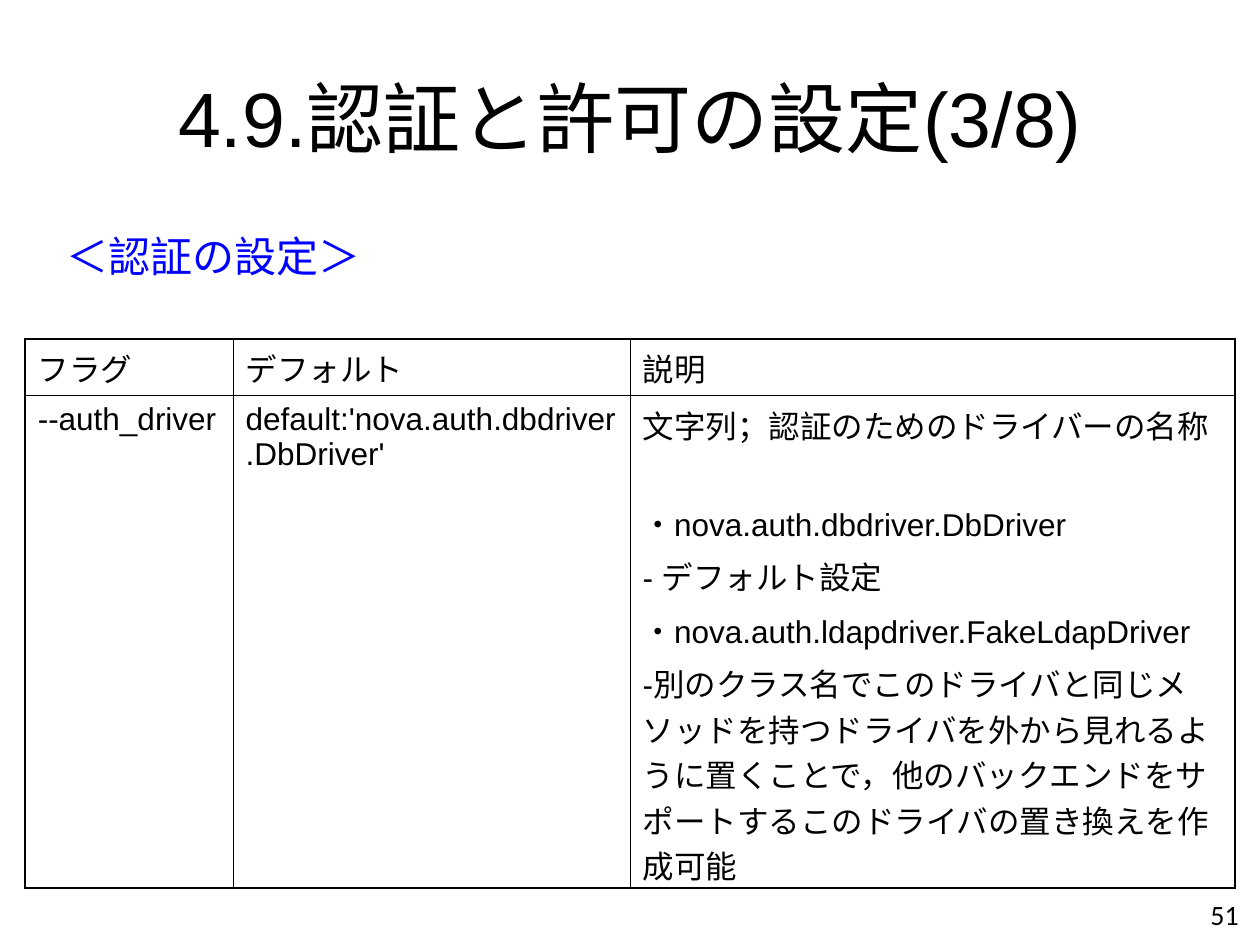
import pptx
import pptx.util
import pptx.dml.color
import pptx.enum.text
import pptx.oxml
import pptx.oxml.ns

BLACK = pptx.dml.color.RGBColor(0, 0, 0)
BLUE = pptx.dml.color.RGBColor(0, 0, 255)
ALIGN = pptx.enum.text.PP_ALIGN
ANCHOR = pptx.enum.text.MSO_ANCHOR
UNIT = pptx.util.Inches(0.1)
COLS, ROWS = 100, 75
THICK, THIN = 1.08, 0.45
GAP, BREAK = 4.5, 29.7

HEADS = ["フラグ", "デフォルト", "説明"]
FLAG = ["--auth_driver", "default:'nova.auth.dbdriver.DbDriver'"]
NOTES = [
    ("文字列；認証のためのドライバーの名称", 0),
    ("・nova.auth.dbdriver.DbDriver", BREAK),
    ("- デフォルト設定", GAP),
    ("・nova.auth.ldapdriver.FakeLdapDriver", GAP),
    ("-別のクラス名でこのドライバと同じメソッドを持つドライバを"
     "外から見れるように置くことで，他のバックエンドをサポートする"
     "このドライバの置き換えを作成可能", GAP),
]


def grid(*cells):
    return [round(cell * UNIT) for cell in cells]


def style(para, size, font="Arial", color=BLACK):
    for run in para.runs:
        run.font.size = pptx.util.Pt(size)
        run.font.name = font
        run.font.color.rgb = color


def label(slide, box, text, size, font="Arial", color=BLACK,
          align=ALIGN.LEFT, anchor=ANCHOR.TOP, wrap=True):
    frame = slide.shapes.add_textbox(*grid(*box)).text_frame
    frame.word_wrap = wrap
    frame.vertical_anchor = anchor
    frame.text = text
    para = frame.paragraphs[0]
    para.alignment = align
    style(para, size, font, color)


def border(cell, sides):
    props = cell._tc.get_or_add_tcPr()
    space = pptx.oxml.ns.nsdecls("a")
    for side, width in sides.items():
        props.append(pptx.oxml.parse_xml(
            f'<a:ln{side} {space} w="{pptx.util.Pt(width)}"><a:solidFill>'
            f'<a:srgbClr val="{BLACK}"/></a:solidFill></a:ln{side}>'))


def fill(cell, lines):
    frame = cell.text_frame
    frame.text = "\n".join(text for text, _ in lines)
    for para, (_, space) in zip(frame.paragraphs, lines):
        if space:
            para.space_before = pptx.util.Pt(space)
        style(para, 18)


def flags(slide, box, widths, heights):
    data = [[[(head, 0)] for head in HEADS],
            [[(text, 0)] for text in FLAG] + [NOTES]]
    table = slide.shapes.add_table(len(heights), len(widths), *grid(*box)).table
    table.first_row = False
    table.horz_banding = False
    for col, width in zip(table.columns, grid(*widths)):
        col.width = width
    for row, height in zip(table.rows, grid(*heights)):
        row.height = height
    right, last = len(widths) - 1, len(heights) - 1
    for y, line in enumerate(data):
        for x, texts in enumerate(line):
            cell = table.cell(y, x)
            border(cell, {"L": THICK if x == 0 else THIN,
                          "R": THICK if x == right else THIN,
                          "T": THICK if y == 0 else THIN,
                          "B": THICK if y == last else THIN})
            cell.fill.background()
            fill(cell, texts)


def main():
    deck = pptx.Presentation()
    deck.slide_width, deck.slide_height = grid(COLS, ROWS)
    slide = deck.slides.add_slide(deck.slide_layouts[6])
    label(slide, (5, 3, 90, 12.5), "4.9.認証と許可の設定(3/8)", 44,
          align=ALIGN.CENTER, anchor=ANCHOR.MIDDLE)
    flags(slide, (2, 26.9, 96, 43.6), (16.5, 31.5, 48), (4.5, 39.1))
    label(slide, (4.3, 17.8, 25.3, 5), "＜認証の設定＞", 24,
          color=BLUE, wrap=False)
    label(slide, (76, 70.6, 23.3, 4), "51", 16, font="Calibri",
          align=ALIGN.RIGHT, anchor=ANCHOR.MIDDLE)
    deck.save("out.pptx")


if __name__ == "__main__":
    main()
